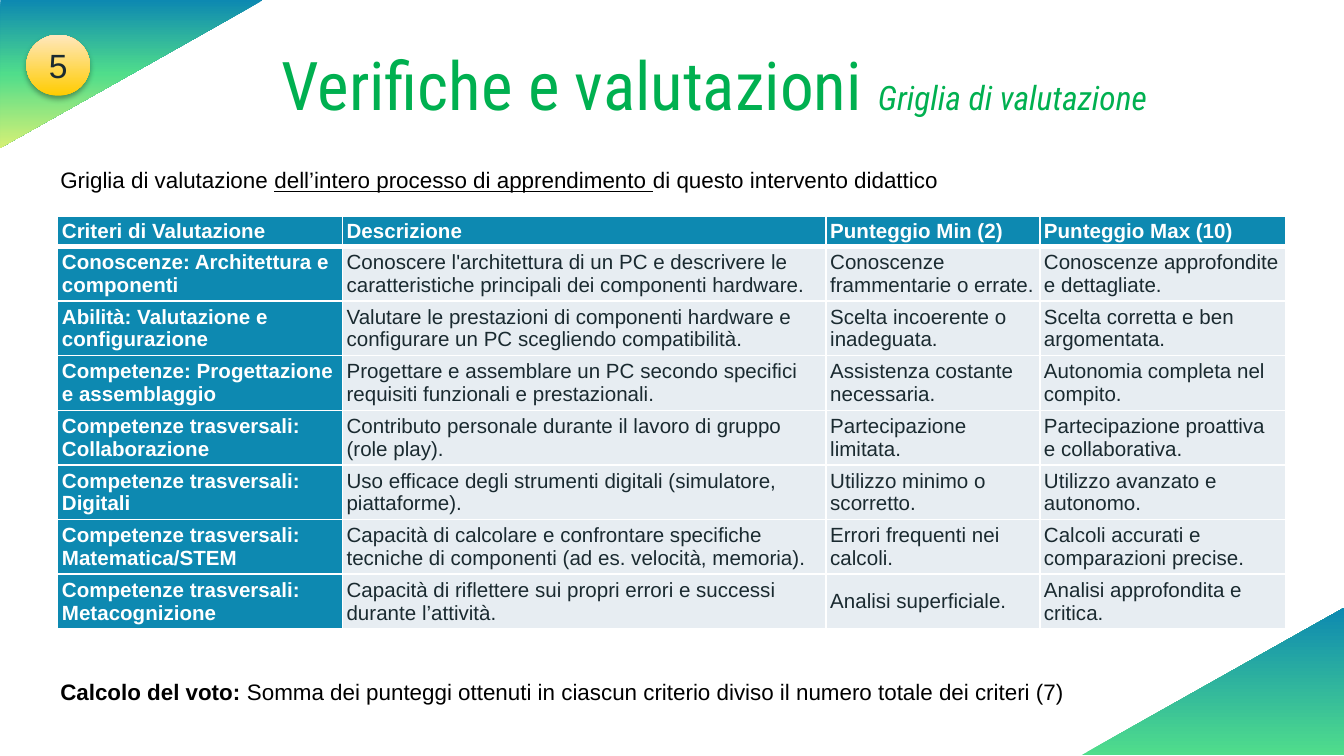
from pptx import Presentation
from pptx.dml.color import RGBColor
from pptx.enum.shapes import MSO_SHAPE as Shape
from pptx.enum.text import MSO_ANCHOR as Anchor, PP_ALIGN as Align
from pptx.oxml import parse_xml
from pptx.oxml.ns import nsdecls, qn
from pptx.util import Cm, Pt

WHITE = RGBColor(0xFF, 0xFF, 0xFF)
BLACK = RGBColor(0x00, 0x00, 0x00)
INK = RGBColor(0x1A, 0x2A, 0x30)
BLUE = RGBColor(0x0D, 0x89, 0xB1)
MINT = RGBColor(0x50, 0xDD, 0x8B)
LIME = RGBColor(0xD6, 0xF0, 0x75)
GREEN = RGBColor(0x00, 0xB0, 0x50)
PALE = RGBColor(0xE7, 0xED, 0xF2)
GOLD = RGBColor(0xFF, 0xCC, 0x00)
CREAM = RGBColor(0xFF, 0xE7, 0xBD)

BODY = {"name": "Arial", "size": Pt(12), "color": BLACK}
TITLE = {"name": "Roboto Condensed", "size": Pt(36), "color": GREEN}
NUMBER = {"name": "Arial", "size": Pt(18), "color": INK}
CELL = {"name": "Arial", "size": Pt(11), "color": INK, "bold": False}
HEADING = CELL | {"color": WHITE, "bold": True}

COLUMN_WIDTHS = [5.38, 9.14, 4.04, 4.65]
HEADER_HEIGHT, ROW_HEIGHT = 0.53, 1.02
CRITERIA = [
    ["Criteri di Valutazione", "Descrizione", "Punteggio Min (2)", "Punteggio Max (10)"],
    ["Conoscenze: Architettura e componenti",
     "Conoscere l'architettura di un PC e descrivere le caratteristiche principali dei componenti hardware.",
     "Conoscenze frammentarie o errate.", "Conoscenze approfondite e dettagliate."],
    ["Abilità: Valutazione e configurazione",
     "Valutare le prestazioni di componenti hardware e configurare un PC scegliendo compatibilità.",
     "Scelta incoerente o inadeguata.", "Scelta corretta e ben argomentata."],
    ["Competenze: Progettazione e assemblaggio",
     "Progettare e assemblare un PC secondo specifici requisiti funzionali e prestazionali.",
     "Assistenza costante necessaria.", "Autonomia completa nel compito."],
    ["Competenze trasversali: Collaborazione",
     "Contributo personale durante il lavoro di gruppo (role play).",
     "Partecipazione limitata.", "Partecipazione proattiva e collaborativa."],
    ["Competenze trasversali: Digitali",
     "Uso efficace degli strumenti digitali (simulatore, piattaforme).",
     "Utilizzo minimo o scorretto.", "Utilizzo avanzato e autonomo."],
    ["Competenze trasversali: Matematica/STEM",
     "Capacità di calcolare e confrontare specifiche tecniche di componenti (ad es. velocità, memoria).",
     "Errori frequenti nei calcoli.", "Calcoli accurati e comparazioni precise."],
    ["Competenze trasversali: Metacognizione",
     "Capacità di riflettere sui propri errori e successi durante l’attività.",
     "Analisi superficiale.", "Analisi approfondita e critica."],
]


class SlideBuilder:
    def __init__(self, slide):
        self.slide = slide

    def add_runs(self, frame, runs, align=Align.LEFT):
        """Fill the first paragraph with (text, format) runs."""
        paragraph = frame.paragraphs[0]
        paragraph.alignment = align
        for text, style in runs:
            run = paragraph.add_run()
            run.text = text
            for key, value in style.items():
                if key == "color":
                    run.font.color.rgb = value
                else:
                    setattr(run.font, key, value)
        return paragraph

    def text(self, box, runs, align=Align.LEFT):
        shape = self.slide.shapes.add_textbox(*map(Cm, box))
        shape.text_frame.word_wrap = True
        return self.add_runs(shape.text_frame, runs, align)

    def gradient_shape(self, kind, box, colors, angle=0, rotation=0):
        """Add a borderless shape whose colours are evenly spaced stops."""
        shape = self.slide.shapes.add_shape(kind, *map(Cm, box))
        shape.rotation = rotation
        shape.shadow.inherit = False
        shape.line.fill.background()
        shape.fill.gradient()
        shape.fill.gradient_angle = angle
        stops = next(shape._element.spPr.iter(qn("a:gsLst")))
        for stop in list(stops):
            stops.remove(stop)
        for index, color in enumerate(colors):
            position = 100000 * index // (len(colors) - 1)
            stops.append(parse_xml(
                f'<a:gs {nsdecls("a")} pos="{position}"><a:srgbClr val="{color}"/></a:gs>'))
        return shape

    def badge(self, box, number):
        shape = self.gradient_shape(Shape.OVAL, box, [GOLD, CREAM], angle=90)
        effects = shape._element.spPr.find(qn("a:effectLst"))
        effects.append(parse_xml(
            f'<a:outerShdw {nsdecls("a")} blurRad="{Pt(3.1)}" dist="{Pt(1.8)}" '
            'dir="5400000" rotWithShape="0"><a:srgbClr val="000000">'
            '<a:alpha val="35000"/></a:srgbClr></a:outerShdw>'))
        shape.text_frame.vertical_anchor = Anchor.MIDDLE
        self.add_runs(shape.text_frame, [(number, NUMBER)], Align.CENTER)

    def borders(self, cell, **widths):
        properties = cell._tc.get_or_add_tcPr()
        for side, width in widths.items():
            properties.append(parse_xml(
                f'<a:ln{side} {nsdecls("a")} w="{Pt(width)}"><a:solidFill>'
                f'<a:srgbClr val="{WHITE}"/></a:solidFill></a:ln{side}>'))

    def table(self, left, top, rows):
        heights = [HEADER_HEIGHT] + [ROW_HEIGHT] * (len(rows) - 1)
        table = self.slide.shapes.add_table(
            len(rows), len(COLUMN_WIDTHS), Cm(left), Cm(top),
            Cm(sum(COLUMN_WIDTHS)), Cm(sum(heights))).table
        for column, width in zip(table.columns, COLUMN_WIDTHS):
            column.width = Cm(width)
        layout = {"margin_left": Cm(0.08), "margin_right": Cm(0.08),
                  "margin_top": Cm(0.05), "margin_bottom": Cm(0.05),
                  "vertical_anchor": Anchor.MIDDLE}
        for r, texts in enumerate(rows):
            table.rows[r].height = Cm(heights[r])
            for c, text in enumerate(texts):
                cell = table.cell(r, c)
                for key, value in layout.items():
                    setattr(cell, key, value)
                self.borders(cell, L=1, R=1, T=3 if r == 1 else 1, B=3 if r == 0 else 1)
                is_heading = r == 0 or c == 0
                cell.fill.solid()
                cell.fill.fore_color.rgb = BLUE if is_heading else PALE
                self.add_runs(cell.text_frame, [(text, HEADING if is_heading else CELL)])


def main():
    presentation = Presentation()
    presentation.slide_width, presentation.slide_height = Cm(25.4), Cm(14.29)
    builder = SlideBuilder(presentation.slides.add_slide(presentation.slide_layouts[6]))

    builder.gradient_shape(Shape.RIGHT_TRIANGLE, (1.09, -1.08, 2.79, 4.96),
                           [BLUE, MINT, LIME], rotation=90)
    builder.gradient_shape(Shape.RIGHT_TRIANGLE, (21.52, 10.4, 2.79, 4.97),
                           [MINT, BLUE], rotation=270)

    title = builder.text((3.1, 0.69, 20.8, 1.8), [
        ("Verifiche e valutazioni ", TITLE),
        ("Griglia di valutazione", TITLE | {"size": Pt(18), "italic": True}),
    ], Align.CENTER)
    title.runs[0].font._element.insert(0, parse_xml(
        f'<a:ln {nsdecls("a")} w="{Pt(0.25)}"><a:solidFill>'
        f'<a:srgbClr val="{INK}"/></a:solidFill></a:ln>'))

    builder.text((0.89, 3.02, 23.27, 0.91), [
        ("Griglia di valutazione ", BODY),
        ("dell’intero processo di apprendimento ", BODY | {"underline": True}),
        ("di questo intervento didattico", BODY),
    ])
    builder.table(1.09, 4.09, CRITERIA)
    builder.text((0.89, 12.7, 23.27, 0.76), [
        ("Calcolo del voto: ", BODY | {"bold": True}),
        ("Somma dei punteggi ottenuti in ciascun criterio diviso il numero totale dei criteri (7)", BODY),
    ])
    builder.badge((0.5, 0.66, 1.2, 1.15), "5")

    presentation.save("out.pptx")


if __name__ == "__main__":
    main()
